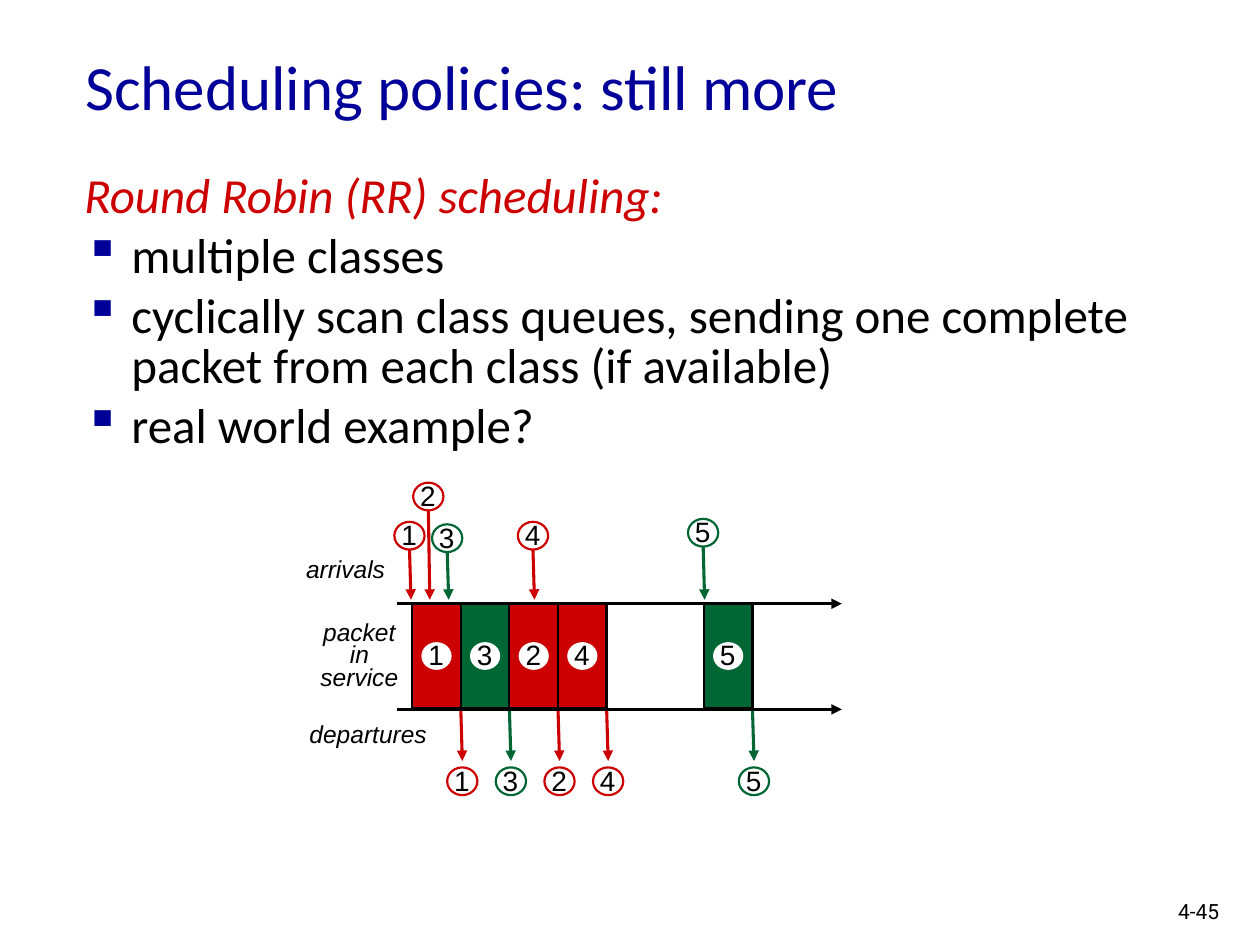
from pptx import Presentation
from pptx.dml.color import RGBColor
from pptx.enum.shapes import MSO_CONNECTOR as CONN, MSO_SHAPE as SHAPE
from pptx.enum.text import MSO_ANCHOR as ANCHOR, MSO_AUTO_SIZE as AUTO, PP_ALIGN as ALIGN
from pptx.oxml.ns import qn
from pptx.util import Cm, Pt
from lxml.etree import SubElement

BLACK = RGBColor(0x00, 0x00, 0x00)
WHITE = RGBColor(0xFF, 0xFF, 0xFF)
NAVY = RGBColor(0x00, 0x00, 0x99)
RED = RGBColor(0xCC, 0x00, 0x00)
GREEN = RGBColor(0x00, 0x66, 0x33)

# Diagram grid, in cm
AXIS_LEFT, AXIS_RIGHT = 8, 16.97
AXIS_TOP, AXIS_BOTTOM = 12.17, 14.3
SLOT_LEFT, SLOT_W, SLOT_H = 8.31, 0.98, 2.11
BALL_W, BALL_H = 0.61, 0.56
ARROW_SKEW = 0.03


class Deck:
    heading_font, label_font, number_font = "Calibri", "Arial", "Roboto"

    def __init__(self, prs):
        self.s = prs.slides.add_slide(prs.slide_layouts[6])

    def box(self, x, y, w, h, wrap=True, grow=False, anchor=ANCHOR.TOP):
        tf = self.s.shapes.add_textbox(Cm(x), Cm(y), Cm(w), Cm(h)).text_frame
        tf.word_wrap = wrap
        tf.auto_size = AUTO.SHAPE_TO_FIT_TEXT if grow else AUTO.NONE
        tf.vertical_anchor = anchor
        return tf

    def run(self, p, text, size, font, color=BLACK, italic=False):
        r = p.add_run()
        r.text = text
        r.font.size, r.font.name = Pt(size), font
        r.font.color.rgb, r.font.italic = color, italic

    def bullet(self, p, color):
        pPr = p._p.get_or_add_pPr()
        clr = SubElement(pPr, qn("a:buClr"))
        SubElement(clr, qn("a:srgbClr")).set("val", str(color))
        SubElement(pPr, qn("a:buChar")).set("char", "▪")

    def shape(self, kind, x, y, w, h, fill, line=None):
        sp = self.s.shapes.add_shape(kind, Cm(x), Cm(y), Cm(w), Cm(h))
        sp.shadow.inherit = False
        sp.fill.solid()
        sp.fill.fore_color.rgb = fill
        if line is None:
            sp.line.fill.background()
        else:
            sp.line.color.rgb = line
            sp.line.width = Pt(1.25)

    def arrow(self, x1, y1, x2, y2, color, width=1.75):
        c = self.s.shapes.add_connector(CONN.STRAIGHT, Cm(x1), Cm(y1), Cm(x2), Cm(y2))
        c.line.color.rgb = color
        c.line.width = Pt(width)
        SubElement(c.line._get_or_add_ln(), qn("a:tailEnd")).set("type", "triangle")
        SubElement(c._element.spPr, qn("a:effectLst"))

    def ball(self, number, x, y, line=None):
        self.shape(SHAPE.OVAL, x, y, BALL_W, BALL_H, WHITE, line)
        tf = self.box(x - 0.11, y - 0.21, 0.84, 0.94, wrap=False, grow=True)
        self.run(tf.paragraphs[0], number, 16, self.label_font)

    def label(self, text, x, y, w, h, wrap=False):
        p = self.box(x, y, w, h, wrap=wrap, grow=True).paragraphs[0]
        if wrap:
            p.alignment = ALIGN.CENTER
            p.line_spacing = Pt(12.8)
        self.run(p, text, 14, self.label_font, italic=True)


def main():
    prs = Presentation()
    prs.slide_width, prs.slide_height = Cm(25.4), Cm(19.05)
    d = Deck(prs)

    # Title
    tf = d.box(1.47, 0.28, 21.59, 2.9, anchor=ANCHOR.MIDDLE)
    d.run(tf.paragraphs[0], "Scheduling policies: still more", 36, d.heading_font, NAVY)

    # Body text
    tf = d.box(1.45, 3.38, 21.59, 2.11)
    lines = ["Round Robin (RR) scheduling:",
             "multiple classes",
             "cyclically scan class queues, sending one complete "
             "packet from each class (if available)",
             "real world example?"]
    for i, text in enumerate(lines):
        p = tf.paragraphs[0] if i == 0 else tf.add_paragraph()
        p.line_spacing = 0.85
        pPr = p._p.get_or_add_pPr()
        pPr.set("marL", str(Cm(0.95)))
        pPr.set("indent", str(-Cm(0.95)))
        if i:
            p.space_before = Pt(5.6)
            d.bullet(p, NAVY)
        d.run(p, text, 28, d.heading_font, BLACK if i else RED, italic=i == 0)

    # Time axes
    for y in (AXIS_TOP, AXIS_BOTTOM):
        d.arrow(AXIS_LEFT, y, AXIS_RIGHT, y, BLACK, 2)

    # Packets in service, each departing at the end of its slot
    class_color = {"1": RED, "2": RED, "3": GREEN, "4": RED, "5": GREEN}
    for number, slot in (("1", 0), ("3", 1), ("2", 2), ("4", 3), ("5", 6)):
        color = class_color[number]
        x = SLOT_LEFT + slot * SLOT_W
        d.shape(SHAPE.RECTANGLE, x, AXIS_TOP, SLOT_W, SLOT_H, color, BLACK)
        d.ball(number, x + (SLOT_W - BALL_W) / 2, AXIS_TOP + (SLOT_H - BALL_H) / 2)
        end = x + SLOT_W
        d.arrow(end, 14.33, end + ARROW_SKEW, 15.34, color)
        d.ball(number, end + ARROW_SKEW - BALL_W / 2, 15.47, color)

    # Arrivals
    for number, x, y in (("5", 13.87, 10.46), ("2", 8.33, 9.73), ("1", 7.95, 10.52),
                         ("3", 8.71, 10.57), ("4", 10.44, 10.52)):
        color = class_color[number]
        middle = x + BALL_W / 2
        d.arrow(middle, y + BALL_H, middle + ARROW_SKEW, 12.09, color)
        d.ball(number, x, y, color)

    # Row labels
    d.label("arrivals", 5.92, 11.05, 2.24, 0.86)
    d.label("departures", 5.99, 14.38, 3.02, 0.86)
    d.label("packet in service", 6.05, 12.45, 2.39, 1.65, wrap=True)

    # Slide number
    tf = d.box(23.5, 17.98, 1.55, 0.76)
    d.run(tf.paragraphs[0], "4-45", 12, d.number_font)

    prs.save("out.pptx")


if __name__ == "__main__":
    main()
